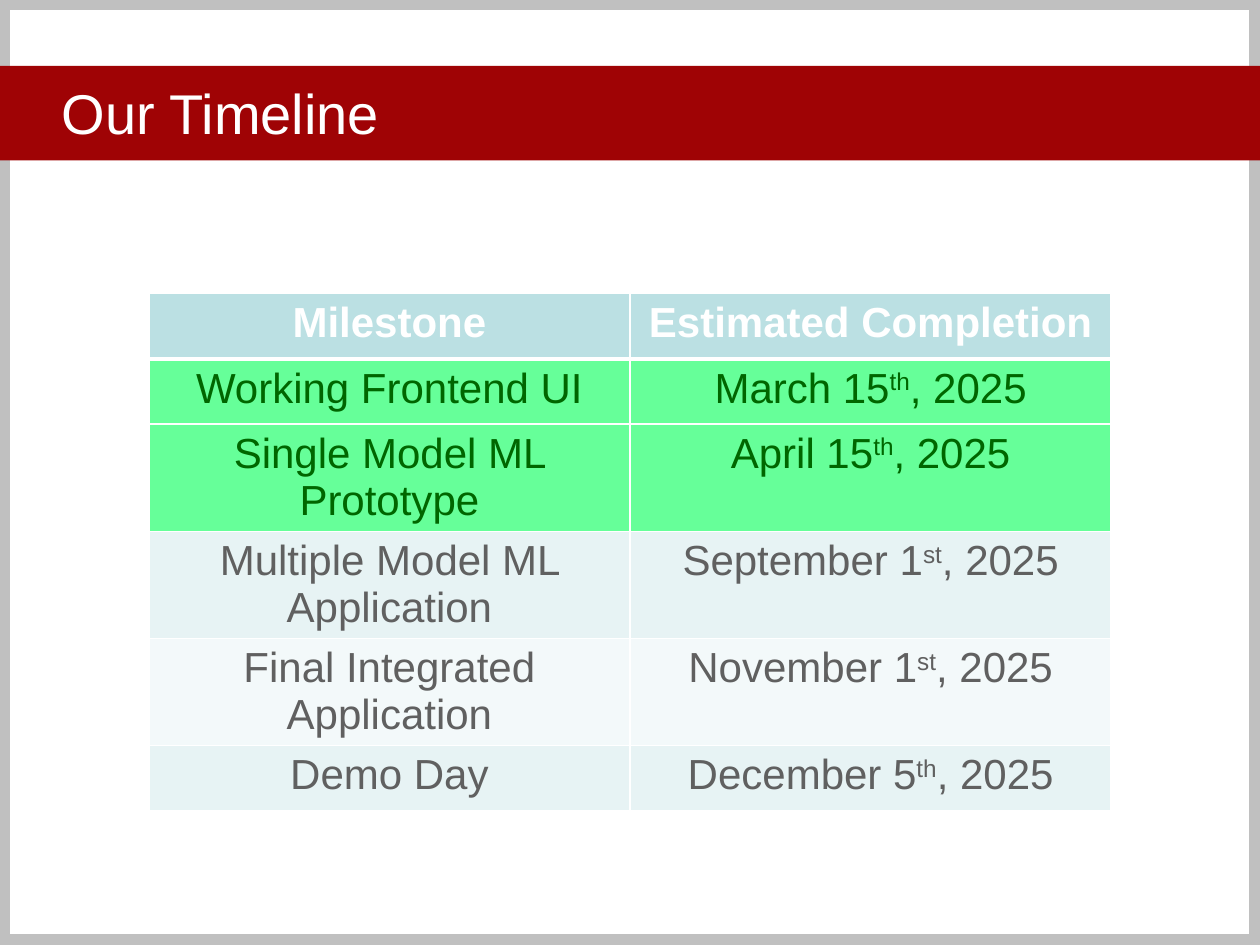
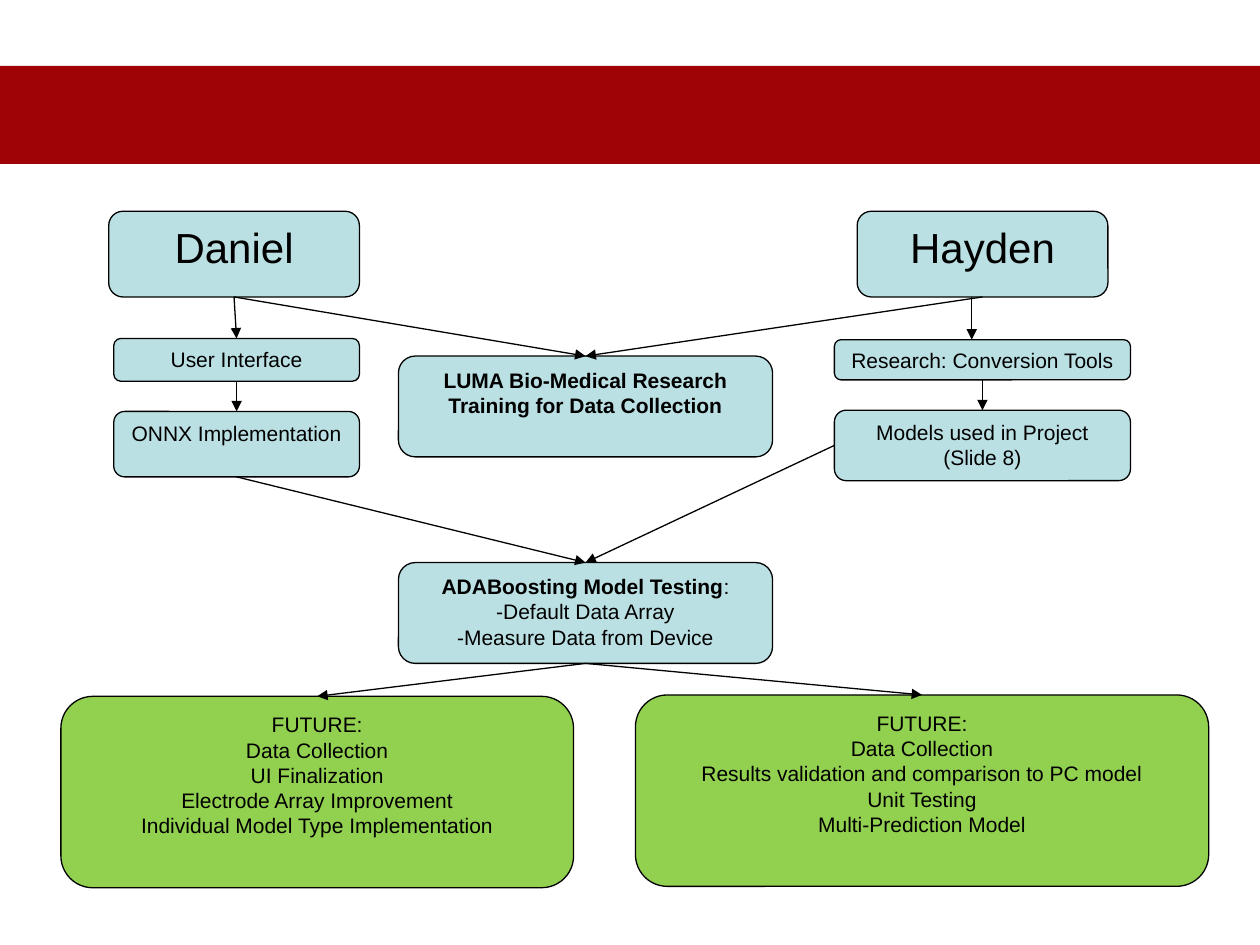
from lxml.etree import SubElement
from pptx import Presentation
from pptx.dml.color import RGBColor
from pptx.enum.shapes import MSO_CONNECTOR, MSO_SHAPE
from pptx.enum.text import MSO_ANCHOR, PP_ALIGN
from pptx.oxml import parse_xml
from pptx.oxml.ns import nsdecls, qn
from pptx.util import Pt

WHITE, BLACK, GREY = "FFFFFF", "000000", "C0C0C0"
RED, AQUA, LIME = "9F0305", "BBE0E3", "92D050"
TOP, LEFT, BOTTOM = 0, 1, 2  # connection sites of a rounded rectangle

BAND = (-7.2, 37.7, 732.2, 54)
TITLE = (28.1, 40.3, 652.3, 47.5)
TABLE = (85, 167.8, 550, 224)
FLOW = (34.8, 120.7)

DONE = {"fill": "66FF99", "color": "006600"}
OPEN_DARK = {"fill": "E7F3F4", "color": "606060"}
OPEN_LIGHT = {"fill": "F3F9FA", "color": "606060"}
MILESTONES = [
    ("Working Frontend UI", ("March 15", "th", ", 2025"), DONE),
    ("Single Model ML Prototype", ("April 15", "th", ", 2025"), DONE),
    ("Multiple Model ML Application", ("September 1", "st", ", 2025"), OPEN_DARK),
    ("Final Integrated Application", ("November 1", "st", ", 2025"), OPEN_LIGHT),
    ("Demo Day", ("December 5", "th", ", 2025"), OPEN_DARK),
]

# Task: (offset and size within the flow, fill, text size, lines of (text, bold) runs)
TASKS = {
    "daniel": ((27.3, 0, 143.3, 49), AQUA, 24, [[("Daniel", False)]]),
    "hayden": ((455, 0, 143.3, 49), AQUA, 24, [[("Hayden", False)]]),
    "interface": ((30.2, 72.7, 140.4, 24.5), AQUA, 12, [[("User Interface", False)]]),
    "research": ((442, 73.4, 169.2, 23), AQUA, 12,
                 [[("Research: Conversion Tools", False)]]),
    "onnx": ((30.2, 114.4, 140.4, 37.4), AQUA, 12, [[("ONNX Implementation", False)]]),
    "models": ((442, 113.7, 169.2, 40.3), AQUA, 12,
               [[("Models used in Project", False)], [("(Slide 8)", False)]]),
    "training": ((192.9, 82.8, 213.8, 57.6), AQUA, 12,
                 [[("LUMA Bio-Medical Research Training for Data Collection", True)]]),
    "testing": ((192.9, 200.8, 213.8, 57.6), AQUA, 12,
                [[("ADABoosting Model Testing", True), (":", False)],
                 [("-Default Data Array", False)],
                 [("-Measure Data from Device", False)]]),
    "future_daniel": ((0, 277.2, 293, 109.4), LIME, 12,
                      [[(line, False)] for line in (
                          "FUTURE:", "Data Collection", "UI Finalization",
                          "Electrode Array Improvement",
                          "Individual Model Type Implementation")]),
    "future_hayden": ((328.3, 276.4, 327.6, 109.4), LIME, 12,
                      [[(line, False)] for line in (
                          "FUTURE:", "Data Collection",
                          "Results validation and comparison to PC model",
                          "Unit Testing", "Multi-Prediction Model")]),
}
LINKS = [
    ("daniel", BOTTOM, "interface"),
    ("interface", BOTTOM, "onnx"),
    ("research", BOTTOM, "models"),
    ("daniel", BOTTOM, "training"),
    ("hayden", BOTTOM, "training"),
    ("onnx", BOTTOM, "testing"),
    ("models", LEFT, "testing"),
    ("testing", BOTTOM, "future_daniel"),
    ("testing", BOTTOM, "future_hayden"),
]
RESEARCH_ARROW = (520.5, 49, 520.5, 73.4)


def rgb(value):
    return RGBColor.from_string(value)


def points(lengths):
    return [Pt(length) for length in lengths]


def add_run(paragraph, text, size, color, bold=False):
    run = paragraph.add_run()
    run.text = text
    font_format = {"name": "Arial", "size": Pt(size), "bold": bold}
    for attribute, value in font_format.items():
        setattr(run.font, attribute, value)
    run.font.color.rgb = rgb(color)
    return run


def add_box(slide, kind, box, fill=None, line=None, weight=0.75):
    shape = slide.shapes.add_shape(kind, *points(box))
    shape.shadow.inherit = False
    if fill:
        shape.fill.solid()
        shape.fill.fore_color.rgb = rgb(fill)
    else:
        shape.fill.background()
    if line:
        shape.line.color.rgb = rgb(line)
        shape.line.width = Pt(weight)
    else:
        shape.line.fill.background()
    return shape


def add_band(slide, box):
    add_box(slide, MSO_SHAPE.RECTANGLE, box, RED)


def set_frame(frame, anchor):
    for attribute, value in {"word_wrap": True, "vertical_anchor": anchor}.items():
        setattr(frame, attribute, value)


def add_title(slide, box, text):
    title = slide.shapes.add_textbox(*points(box)).text_frame
    set_frame(title, MSO_ANCHOR.MIDDLE)
    add_run(title.paragraphs[0], text, 32, WHITE)


def fill_cell(cell, parts, fill, color, bold=False, top=1, bottom=1):
    cell.margin_bottom = Pt(0)
    cell.fill.solid()
    cell.fill.fore_color.rgb = rgb(fill)
    paragraph = cell.text_frame.paragraphs[0]
    paragraph.alignment = PP_ALIGN.CENTER
    for index, text in enumerate(parts):
        run = add_run(paragraph, text, 24, color, bold)
        if index == 1:  # ordinal ending of the date
            run.font._element.set("baseline", "30000")
    # White cell borders come before the fill
    widths = {"lnL": 1, "lnR": 1, "lnT": top, "lnB": bottom}
    for position, (side, width) in enumerate(widths.items()):
        border = parse_xml(
            f'<a:{side} {nsdecls("a")} w="{Pt(width)}"><a:solidFill>'
            f'<a:srgbClr val="{WHITE}"/></a:solidFill></a:{side}>')
        cell._tc.get_or_add_tcPr().insert(position, border)


def add_milestone_table(slide, box):
    rows = len(MILESTONES) + 1
    table = slide.shapes.add_table(rows, 2, *points(box)).table
    for attribute in ("first_row", "horz_banding"):
        setattr(table, attribute, False)
    for row in table.rows:
        row.height = Pt(round(box[3] / rows, 2))
    for column, heading in enumerate(("Milestone", "Estimated Completion")):
        fill_cell(table.cell(0, column), [heading], AQUA, WHITE, True, bottom=3)
    for row, (milestone, date, state) in enumerate(MILESTONES, 1):
        for column, parts in enumerate(([milestone], date)):
            fill_cell(table.cell(row, column), parts, **state,
                      top=3 if row == 1 else 1)


def add_task(slide, box, fill, size, lines):
    task = add_box(slide, MSO_SHAPE.ROUNDED_RECTANGLE, box, fill, BLACK)
    frame = task.text_frame
    set_frame(frame, MSO_ANCHOR.TOP)
    for index, runs in enumerate(lines):
        paragraph = frame.add_paragraph() if index else frame.paragraphs[0]
        paragraph.alignment = PP_ALIGN.CENTER
        for text, bold in runs:
            add_run(paragraph, text, size, BLACK, bold)
    return task


def add_arrow(slide, ends=(0, 0, 0, 0)):
    arrow = slide.shapes.add_connector(MSO_CONNECTOR.STRAIGHT, *points(ends))
    arrow.line.color.rgb = rgb(BLACK)
    arrow.line.width = Pt(0.75)
    SubElement(arrow.line._get_or_add_ln(), qn("a:tailEnd"), type="triangle")
    SubElement(arrow._element.spPr, qn("a:effectLst"))
    return arrow


def add_task_flow(slide, origin):
    left, top = origin
    tasks = {}
    for key, ((x, y, width, height), *content) in TASKS.items():
        tasks[key] = add_task(slide, (left + x, top + y, width, height), *content)
    for source, site, target in LINKS:
        arrow = add_arrow(slide)
        arrow.begin_connect(tasks[source], site)
        arrow.end_connect(tasks[target], TOP)
    # This arrow stands left of the centre of its boxes
    x1, y1, x2, y2 = RESEARCH_ARROW
    add_arrow(slide, (left + x1, top + y1, left + x2, top + y2))


def build_timeline(slide, page):
    add_box(slide, MSO_SHAPE.RECTANGLE, page, line=GREY, weight=12)
    add_band(slide, BAND)
    add_title(slide, TITLE, "Our Timeline")
    add_milestone_table(slide, TABLE)


def build_work_split(slide):
    # A second band peeks out below the shared one
    add_band(slide, (0, 39.6, *BAND[2:]))
    add_band(slide, BAND)
    add_task_flow(slide, FLOW)


def main():
    presentation = Presentation()
    page = (0, 0, 720, 540)
    presentation.slide_width, presentation.slide_height = points(page[2:])
    blank = presentation.slide_layouts[6]
    build_timeline(presentation.slides.add_slide(blank), page)
    build_work_split(presentation.slides.add_slide(blank))
    presentation.save("out.pptx")


if __name__ == "__main__":
    main()
